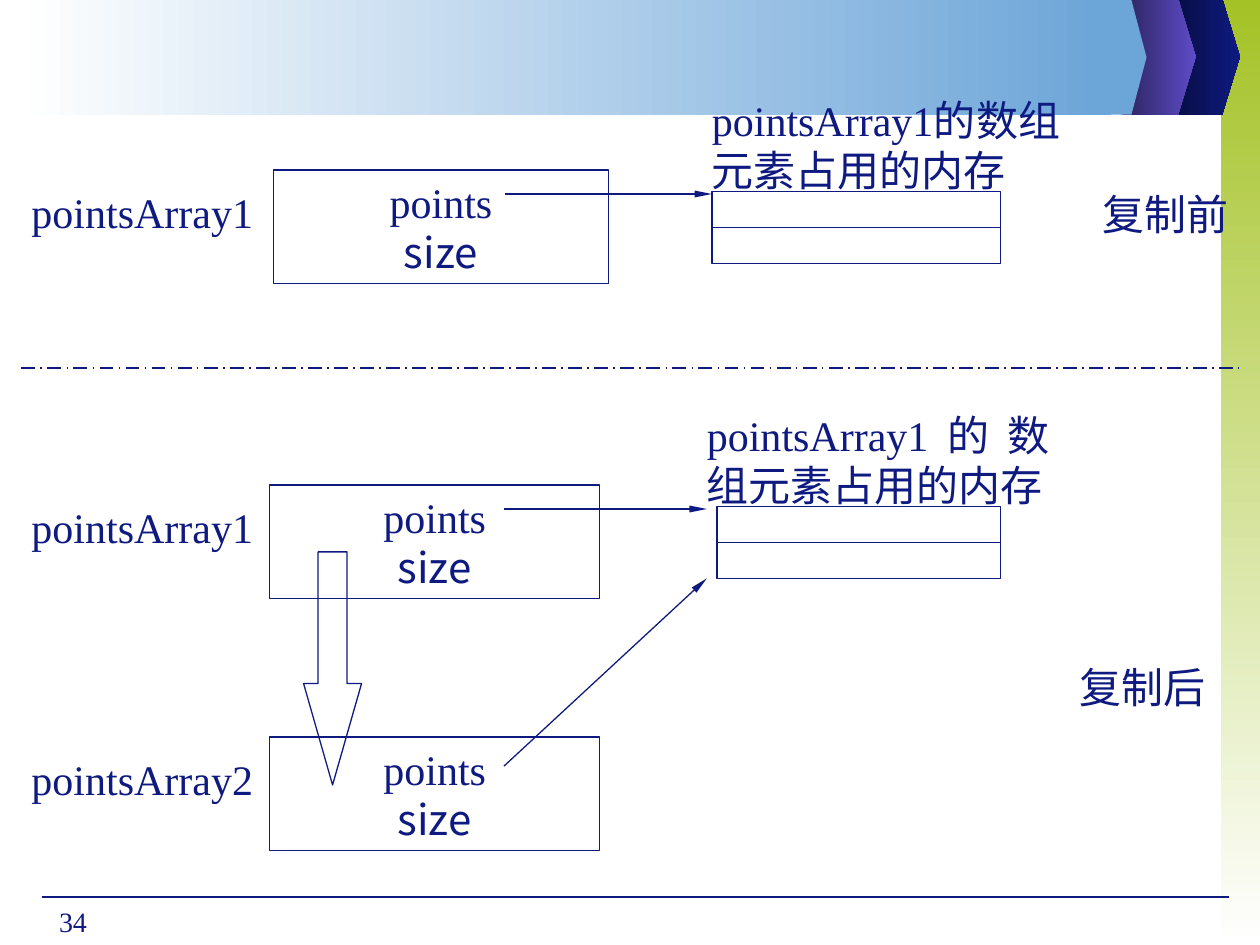
from collections import namedtuple
from dataclasses import dataclass
from lxml.etree import SubElement
from pptx import Presentation
from pptx.dml.color import RGBColor
from pptx.enum.dml import MSO_LINE
from pptx.enum.shapes import MSO_CONNECTOR, MSO_SHAPE
from pptx.enum.text import MSO_ANCHOR, PP_ALIGN
from pptx.oxml.ns import qn
from pptx.util import Inches, Pt


@dataclass(frozen=True)
class Theme:
    """Colours, fonts and sizes of the slide."""
    ink: str = "0F1A81"
    night: str = "070C3C"
    plum: str = "2B235C"
    violet: str = "5D4BC7"
    sky: str = "6CA5D8"
    lime: str = "A4C226"
    paper: str = "FFFFFF"
    latin: str = "Times New Roman"
    cjk: str = "Noto Sans CJK SC"
    body: int = 24
    small: int = 16
    hairline: float = 0.75
    divider: float = 1


THEME = Theme()
COLUMNS, ROWS = 100, 75
SLIDE_WIDTH, SLIDE_HEIGHT = Inches(10), Inches(7.5)
MEMORY_TEXT = "pointsArray1的数组元素占用的内存"


class Box(namedtuple("Box", "column row columns rows")):
    """A region measured in columns and rows of the slide grid."""

    def area(self, column, row, columns, rows):
        """Return a region placed relative to this one."""
        return Box(self.column + column, self.row + row, columns, rows)

    def point(self, column, row):
        """Return the slide position of a grid point in this region."""
        return (round((self.column + column) * SLIDE_WIDTH / COLUMNS),
                round((self.row + row) * SLIDE_HEIGHT / ROWS))

    def frame(self):
        """Return left, top, width and height for a shape."""
        return self.point(0, 0) + Box(0, 0, 0, 0).point(self.columns, self.rows)


def assign(target, values):
    """Set each named attribute of the target."""
    for name, value in values.items():
        setattr(target, name, value)


def paint(shape, colors, angle=0):
    """Fill a shape without outline, with one colour or a gradient."""
    shape.shadow.inherit = False
    shape.line.fill.background()
    if len(colors) == 1:
        shape.fill.solid()
        shape.fill.fore_color.rgb = RGBColor.from_string(colors[0])
        return
    shape.fill.gradient()
    shape.fill.gradient_angle = angle
    for stop, color in zip(shape.fill.gradient_stops, colors):
        stop.color.rgb = RGBColor.from_string(color)


def draw_outline(slide, box, kind=MSO_SHAPE.RECTANGLE):
    """Add an unfilled shape with a thin outline."""
    shape = slide.shapes.add_shape(kind, *box.frame())
    shape.shadow.inherit = False
    shape.fill.background()
    shape.line.color.rgb = RGBColor.from_string(THEME.ink)
    shape.line.width = Pt(THEME.hairline)
    return shape


def draw_line(slide, start, end, width=THEME.hairline, arrow=False):
    """Add a straight line, optionally ending in a slim arrowhead."""
    line = slide.shapes.add_connector(MSO_CONNECTOR.STRAIGHT, *start, *end)
    line.line.color.rgb = RGBColor.from_string(THEME.ink)
    line.line.width = Pt(width)
    properties = line._element.spPr
    if arrow:
        SubElement(properties.find(qn("a:ln")), qn("a:tailEnd"),
                   {"type": "triangle", "w": "sm", "len": "lg"})
    SubElement(properties, qn("a:effectLst"))
    return line


def write(shape, lines, align, size=THEME.body, insets=(0, 0)):
    """Write (text, font) lines into a shape, from its top edge."""
    across, down = map(Inches, insets)
    frame = shape.text_frame
    assign(frame, {"word_wrap": True, "vertical_anchor": MSO_ANCHOR.TOP,
                   "margin_left": across, "margin_right": across,
                   "margin_top": down, "margin_bottom": down})
    for index, (text, font) in enumerate(lines):
        paragraph = frame.add_paragraph() if index else frame.paragraphs[0]
        paragraph.alignment = align
        run = paragraph.add_run()
        run.text = text
        assign(run.font, {"name": font, "size": Pt(size)})
        run.font.color.rgb = RGBColor.from_string(THEME.ink)
        SubElement(run._r.get_or_add_rPr(), qn("a:ea"), {"typeface": THEME.cjk})


def draw_label(slide, box, text, align=PP_ALIGN.JUSTIFY, **style):
    """Add a text box with one paragraph of text."""
    label = slide.shapes.add_textbox(*box.frame())
    write(label, [(text, THEME.latin)], align, **style)


def draw_chevron(slide, box, body, colors):
    """Add a block whose right side is a point."""
    outline = [(0, 0), (body, 0), (box.columns, box.rows / 2),
               (body, box.rows), (0, box.rows)]
    points = [box.point(*corner) for corner in outline]
    builder = slide.shapes.build_freeform(*points[0])
    builder.add_line_segments(points[1:])
    paint(builder.convert_to_shape(), colors)


def draw_band(slide, box, colors, angle=0):
    """Add a gradient rectangle."""
    paint(slide.shapes.add_shape(MSO_SHAPE.RECTANGLE, *box.frame()), colors, angle)


def draw_backdrop(slide, box):
    """Draw the side bar, the header band and the footer."""
    draw_band(slide, box.area(96.9, 0, 3.1, box.rows), (THEME.lime, THEME.paper), 270)
    draw_chevron(slide, box.area(92.5, -0.1, 5.9, 9.2), 4.5, (THEME.night, THEME.ink))
    draw_chevron(slide, box.area(89, -0.1, 5.9, 9.2), 4.5, (THEME.plum, THEME.violet))
    draw_line(slide, box.point(3.3, 71.2), box.point(97.5, 71.2))
    draw_band(slide, box.area(1.2, 0, 87, 9.1), (THEME.paper, THEME.sky))
    draw_chevron(slide, box.area(86.3, 0, 4.7, 9.1), 3.5, (THEME.sky,))
    draw_label(slide, box.area(3.7, 71.3, 5.8, 3.7), "34", PP_ALIGN.LEFT,
               size=THEME.small, insets=(0.1, 0.05))


def draw_object(slide, box, name, left, width):
    """Draw a named object with its two members."""
    members = [("points", THEME.latin), ("size", THEME.cjk)]
    write(draw_outline(slide, box.area(left, 0, width, box.rows)), members,
          PP_ALIGN.CENTER, insets=(0, 0.05))
    draw_label(slide, box.area(2.5, 1.3, 18.7, 3.5), name)


def draw_memory(slide, box, text_left, text_width):
    """Draw the two-cell array memory under its caption."""
    draw_label(slide, box.area(text_left, 0, text_width, 7.3), MEMORY_TEXT)
    cells = draw_outline(slide, box.area(0, 7.7, box.columns, 5.7))
    divider = draw_line(slide, box.point(0, 10.6), box.point(box.columns, 10.6))
    divider.begin_connect(cells, 1)
    divider.end_connect(cells, 3)


def draw_before(slide, box):
    """Draw the state before the copy."""
    draw_label(slide, box.area(85, 7.5, 15, 4), "复制前", PP_ALIGN.CENTER, insets=(0.1, 0))
    draw_memory(slide, box.area(56.5, 0, 22.9, 13.4), 0, 27.7)
    draw_object(slide, box.area(0, 6, 50, 9), "pointsArray1", 21.7, 26.6)
    draw_line(slide, box.point(40.1, 7.9), box.point(56.5, 7.9), arrow=True)


def draw_after(slide, box):
    """Draw the state after the copy, with both objects sharing memory."""
    draw_label(slide, box.area(83.3, 20, 14.8, 4), "复制后", PP_ALIGN.CENTER, insets=(0.1, 0))
    draw_memory(slide, box.area(56.9, 0, 22.5, 13.4), -0.8, 27.2)
    for row, name in ((6, "pointsArray1"), (26, "pointsArray2")):
        draw_object(slide, box.area(0, row, 50, 9), name, 21.4, 26.2)
    for start, end in ((7.9, 7.9), (28.3, 13.4)):
        draw_line(slide, box.point(40, start), box.point(56.1, end), arrow=True)
    copy_arrow = draw_outline(slide, box.area(24.1, 11.3, 4.6, 18.5), MSO_SHAPE.DOWN_ARROW)
    copy_arrow.adjustments[0] = 0.5
    copy_arrow.adjustments[1] = 1.75


def main():
    """Build the slide and save it."""
    presentation = Presentation()
    assign(presentation, {"slide_width": SLIDE_WIDTH, "slide_height": SLIDE_HEIGHT})
    slide = presentation.slides.add_slide(presentation.slide_layouts[6])
    page = Box(0, 0, COLUMNS, ROWS)
    draw_backdrop(slide, page)
    draw_before(slide, page.area(0, 7.5, COLUMNS, 15))
    draw_after(slide, page.area(0, 32.5, COLUMNS, 35))
    divider = draw_line(slide, page.point(1.7, 29.2), page.point(98.3, 29.2), THEME.divider)
    divider.line.dash_style = MSO_LINE.LONG_DASH_DOT
    presentation.save("out.pptx")


if __name__ == "__main__":
    main()
